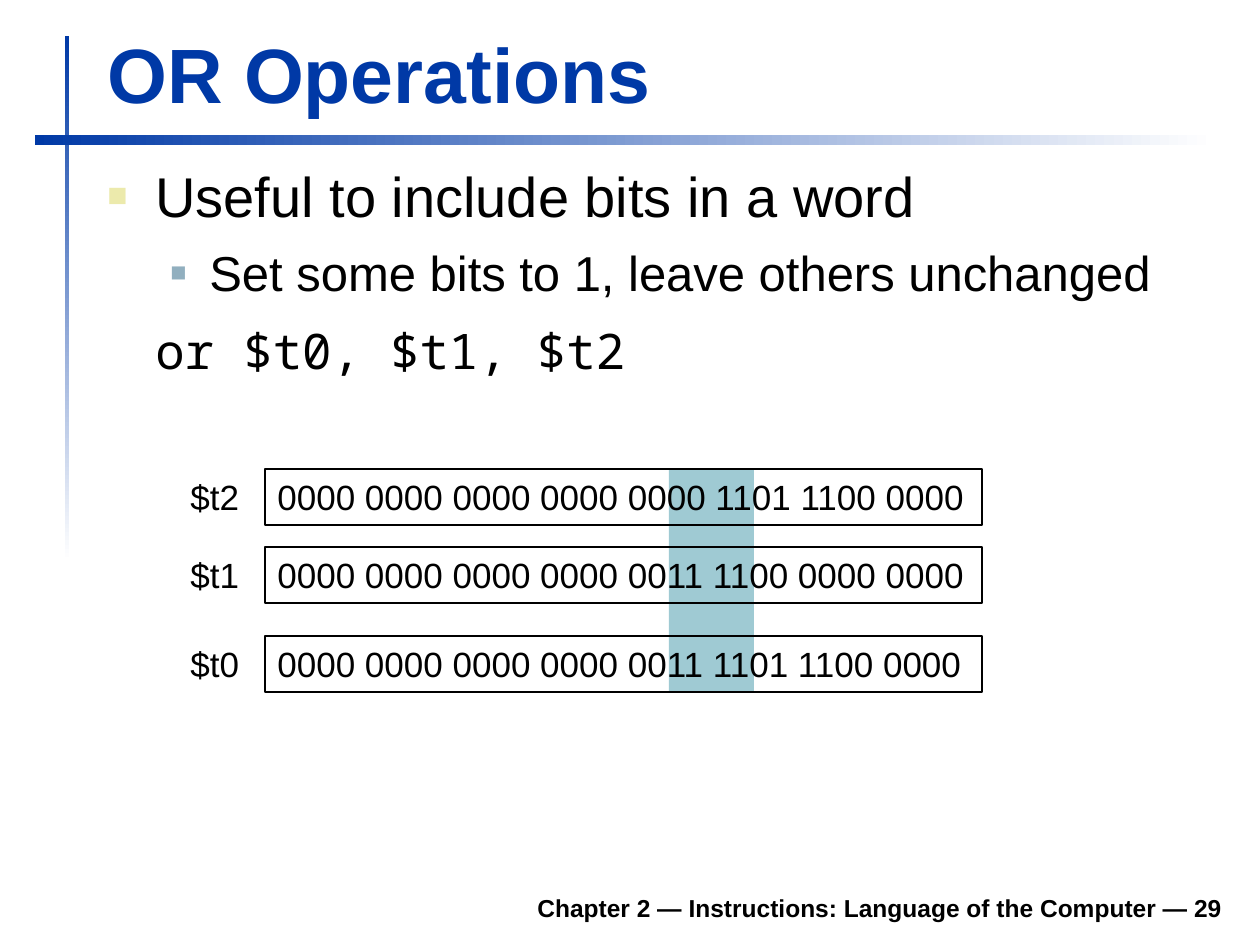
from lxml.etree import SubElement
from pptx import Presentation
from pptx.dml.color import RGBColor
from pptx.enum.shapes import MSO_SHAPE as Preset
from pptx.enum.text import MSO_ANCHOR as Anchor, PP_ALIGN as Align
from pptx.oxml.ns import qn
from pptx.util import Emu, Pt

PX_PER_INCH = 126
BLACK, BLUE, TEAL = "000000", "0039A6", "9FCAD3"


def px(length):
    return Emu(round(length * 914400 / PX_PER_INCH))


def color(hex_code):
    return RGBColor.from_string(hex_code)


def add_rect(page, box, fill=None, line=None):
    rect = page.shapes.add_shape(Preset.RECTANGLE, *map(px, box))
    rect.shadow.inherit = False
    if fill:
        rect.fill.solid()
        rect.fill.fore_color.rgb = color(fill)
    else:
        rect.fill.background()
    if line:
        rect.line.color.rgb = color(line)
        rect.line.width = Pt(0.75)
    else:
        rect.line.fill.background()
    return rect


def add_fading_bar(page, box, angle):
    fill = add_rect(page, box).fill
    fill.gradient()
    fill.gradient_angle = angle
    for stop, shade in zip(fill.gradient_stops, (BLUE, "FFFFFF")):
        stop.color.rgb = color(shade)


def add_span(para, text, size, shade=BLACK, bold=False, font="Arial"):
    span = para.add_run()
    span.text = text
    span.font.size = Pt(size)
    span.font.name = font
    span.font.bold = bold
    span.font.color.rgb = color(shade)


def add_line(page, box, text, size, shade=BLACK, bold=False,
             align=Align.LEFT, anchor=Anchor.TOP, wrap=True):
    """Add a text box that holds a single paragraph."""
    frame = page.shapes.add_textbox(*map(px, box)).text_frame
    frame.word_wrap = wrap
    frame.vertical_anchor = anchor
    frame.paragraphs[0].alignment = align
    add_span(frame.paragraphs[0], text, size, shade, bold)


def indent(para, left, hanging, bullet=None):
    """Set the indents and, if given, a square bullet of (colour, percent)."""
    props = para._p.get_or_add_pPr()
    props.set("marL", str(px(left)))
    props.set("indent", str(-px(hanging)))
    if bullet:
        shade, percent = bullet
        holder = SubElement(props, qn("a:buClr"))
        SubElement(holder, qn("a:srgbClr"), val=shade)
        SubElement(props, qn("a:buSzPct"), val=str(percent * 1000))
        SubElement(props, qn("a:buFont"), typeface="Arial")
        SubElement(props, qn("a:buChar"), char="■")


def add_body(page, box):
    frame = page.shapes.add_textbox(*map(px, box)).text_frame
    frame.word_wrap = True
    lines = [
        ("Useful to include bits in a word", 32, "Arial", 5, 48, 48, ("ECEAAC", 60)),
        ("Set some bits to 1, leave others unchanged", 28, "Arial", 8, 102, 39,
         ("91AFBF", 55)),
        ("or $t0, $t1, $t2", 28, "Noto Sans Mono", 11, 48, 0, None),
    ]
    for index, (text, size, font, before, left, hanging, bullet) in enumerate(lines):
        para = frame.add_paragraph() if index else frame.paragraphs[0]
        para.space_before = Pt(before)
        indent(para, left, hanging, bullet)
        add_span(para, text, size, font=font)


def add_register(page, box, name, bits):
    """Add a register's label and its framed bits."""
    left, top, width, height = box
    label_width, frame_left = 74, 87
    add_line(page, (left, top, label_width, height), name, 20, wrap=False)
    frame = add_rect(page, (left + frame_left, top, width - frame_left, height),
                     line=BLACK).text_frame
    frame.word_wrap = False
    frame.vertical_anchor = Anchor.TOP
    frame.paragraphs[0].alignment = Align.LEFT
    add_span(frame.paragraphs[0], bits, 20)


def add_registers(page, box):
    left, top, width, height = box
    add_rect(page, (left + 491, top + 1, 85, height - 1), TEAL)
    registers = [
        (0, "$t2", "0000 0000 0000 0000 0000 1101 1100 0000"),
        (78, "$t1", "0000 0000 0000 0000 0011 1100 0000 0000"),
        (167, "$t0", "0000 0000 0000 0000 0011 1101 1100 0000"),
    ]
    for offset, name, bits in registers:
        add_register(page, (left, top + offset, width, 56), name, bits)


def add_frame(page, width, height):
    """Add the two fading bars and the footer."""
    add_fading_bar(page, (65, 36, 4, 525), 270)
    add_fading_bar(page, (35, 135, 1180, 10), 0)
    add_line(page, (width - 1027, height - 65, 1002, 49),
             "Chapter 2 — Instructions: Language of the Computer — 29",
             14, bold=True, align=Align.RIGHT, anchor=Anchor.BOTTOM)


def main():
    deck = Presentation()
    width, height = 1260, 945
    deck.slide_width, deck.slide_height = px(width), px(height)
    page = deck.slides.add_slide(deck.slide_layouts[6])
    add_frame(page, width, height)
    add_line(page, (95, 20, 1138, 105), "OR Operations", 44, BLUE, True,
             anchor=Anchor.BOTTOM)
    add_body(page, (95, 155, 1140, 286))
    add_registers(page, (178, 469, 804, 222))
    deck.save("out.pptx")


if __name__ == "__main__":
    main()
